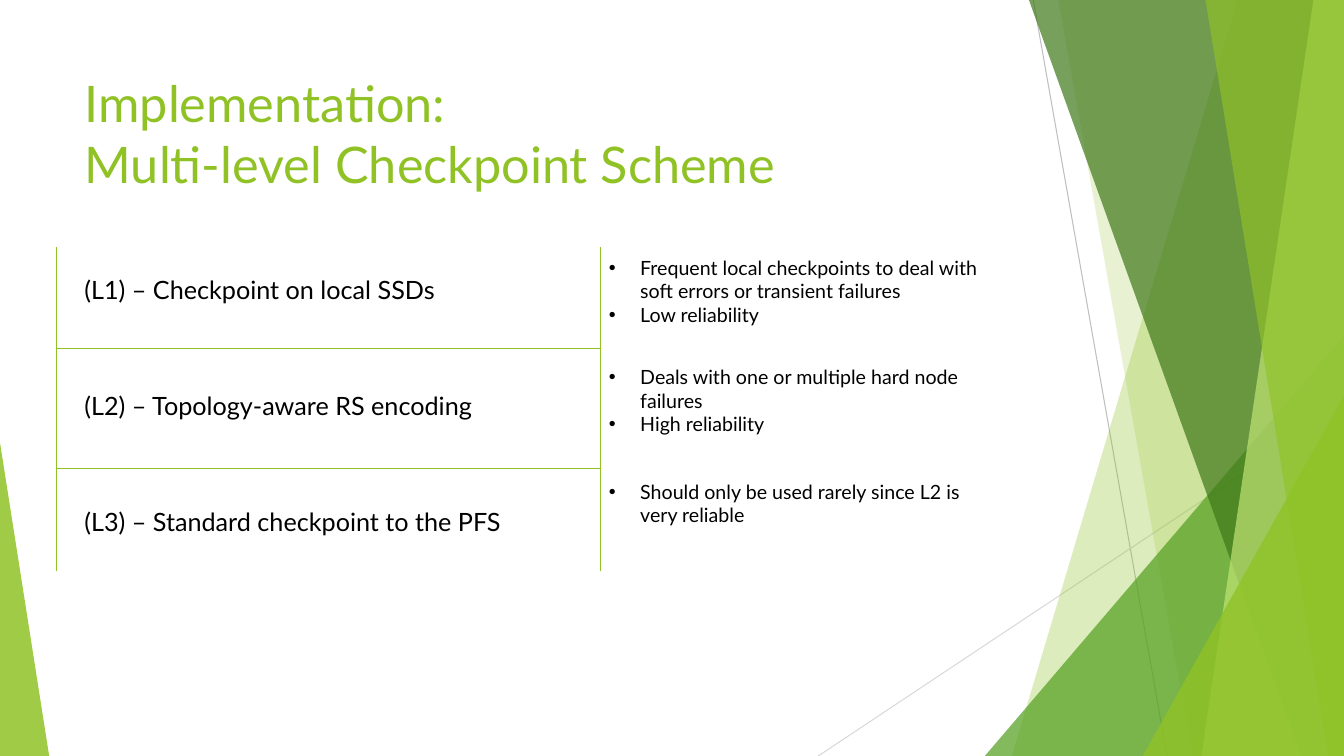
import lxml.etree
import pptx
import pptx.dml.color
import pptx.enum.shapes
import pptx.enum.text
import pptx.oxml.ns
import pptx.util

Cm = pptx.util.Cm
Pt = pptx.util.Pt
qn = pptx.oxml.ns.qn
add = lxml.etree.SubElement
enum = pptx.enum.text
hues = {"lime": "90C226", "green": "54A021", "dark": "3F7819", "pale": "C0E474",
        "black": "000000", "grey": "BFBFBF", "light": "D9D9D9"}
rgb = {name: pptx.dml.color.RGBColor.from_string(code) for name, code in hues.items()}
wide, high = 33.87, 19.05

deck = pptx.Presentation()
deck.slide_width, deck.slide_height = Cm(wide), Cm(high)
slide = deck.slides.add_slide(deck.slide_layouts[4])
shapes = slide.shapes


def write(box, place, lines, size, hue):
    box.left, box.top, box.width, box.height = [Cm(n) for n in place]
    frame = box.text_frame
    frame.text = "\n".join(lines)
    style = {"word_wrap": True, "auto_size": enum.MSO_AUTO_SIZE.NONE,
             "vertical_anchor": enum.MSO_ANCHOR.TOP}
    for key, value in style.items():
        setattr(frame, key, value)
    for para in frame.paragraphs:
        style = {"alignment": enum.PP_ALIGN.LEFT, "space_before": Pt(0)}
        for key, value in style.items():
            setattr(para, key, value)
        for run in para.runs:
            for key, value in {"name": "Lato", "size": Pt(size), "bold": False}.items():
                setattr(run.font, key, value)
            run.font.color.rgb = rgb[hue]


def rule(ends, hue, weight):
    line = shapes.add_connector(pptx.enum.shapes.MSO_CONNECTOR.STRAIGHT, *[Cm(n) for n in ends])
    line.line.color.rgb = rgb[hue]
    line.line.width = Pt(weight)
    add(line._element.spPr, qn("a:effectLst"))


rule((26.04, 0, 29.41, high), "grey", 0.75)
rule((wide, 10.24, 20.62, high), "light", 0.75)

panels = [
    ("lime", 30, 31.19, 25.5),
    ("lime", 20, 26.67, 30.05),
    ("green", 72, 24.82, 9.05, 10.59, 1),
    ("dark", 70, 25.93, 32.79),
    ("pale", 70, 33.1, 30.28),
    ("lime", 65, 30.38, 33.48),
    ("lime", 80, 28.8, 5.07, 9.07, 1),
    ("lime", 85, 0, 1.24, 7.9, 0),
]
for hue, alpha, *form in panels:
    if len(form) == 2:
        upper, lower = form
        pen = shapes.build_freeform(Cm(upper), 0)
        pen.add_line_segments([(Cm(wide), 0), (Cm(wide), Cm(high)), (Cm(lower), Cm(high))])
        panel = pen.convert_to_shape()
    else:
        left, width, height, peak = form
        panel = shapes.add_shape(pptx.enum.shapes.MSO_SHAPE.ISOSCELES_TRIANGLE,
                                 Cm(left), Cm(high - height), Cm(width), Cm(height))
        panel.adjustments[0] = peak
    panel.shadow.inherit = False
    panel.line.fill.background()
    panel.fill.solid()
    panel.fill.fore_color.rgb = rgb[hue]
    tint = panel._element.spPr.find(qn("a:solidFill"))[0]
    add(tint, qn("a:alpha"), val=str(alpha * 1000))

write(shapes.title, (1.88, 1.7, 23.88, 3.66),
      ["Implementation:\vMulti-level Checkpoint Scheme"], 36, "lime")

for y in (8.79, 11.81):
    rule((1.42, y, 15.14, y), "lime", 1)
for x in (1.42, 15.14):
    rule((x, 6.22, x, 14.39), "lime", 1)

levels = [
    ("(L1) – Checkpoint on local SSDs", 6.32,
     ["Frequent local checkpoints to deal with soft errors or transient failures",
      "Low reliability"]),
    ("(L2) – Topology-aware RS encoding", 9.07,
     ["Deals with one or multiple hard node failures", "High reliability"]),
    ("(L3) – Standard checkpoint to the PFS", 11.96,
     ["Should only be used rarely since L2 is very reliable"]),
]
bodies = [hold for hold in slide.placeholders if 1 <= hold.placeholder_format.idx <= 4]
for row, (label, top, notes) in enumerate(levels):
    write(shapes.add_textbox(0, 0, 0, 0), (1.88, 6.78 + 2.93 * row, 12.4, 1.02),
          [label], 18, "black")
    body = bodies[row]
    write(body, (15.09, top, 10.39, 2.06), notes, 14, "black")
    for para in body.text_frame.paragraphs:
        props = para._p.get_or_add_pPr()
        props.set("marL", str(Cm(0.79)))
        props.set("indent", str(Cm(-0.79)))
        add(props, qn("a:buFont"), typeface="Arial")
        add(props, qn("a:buChar"), char="•")

for hold in list(slide.placeholders):
    if not hold.text_frame.text:
        hold._element.getparent().remove(hold._element)

deck.save("out.pptx")
